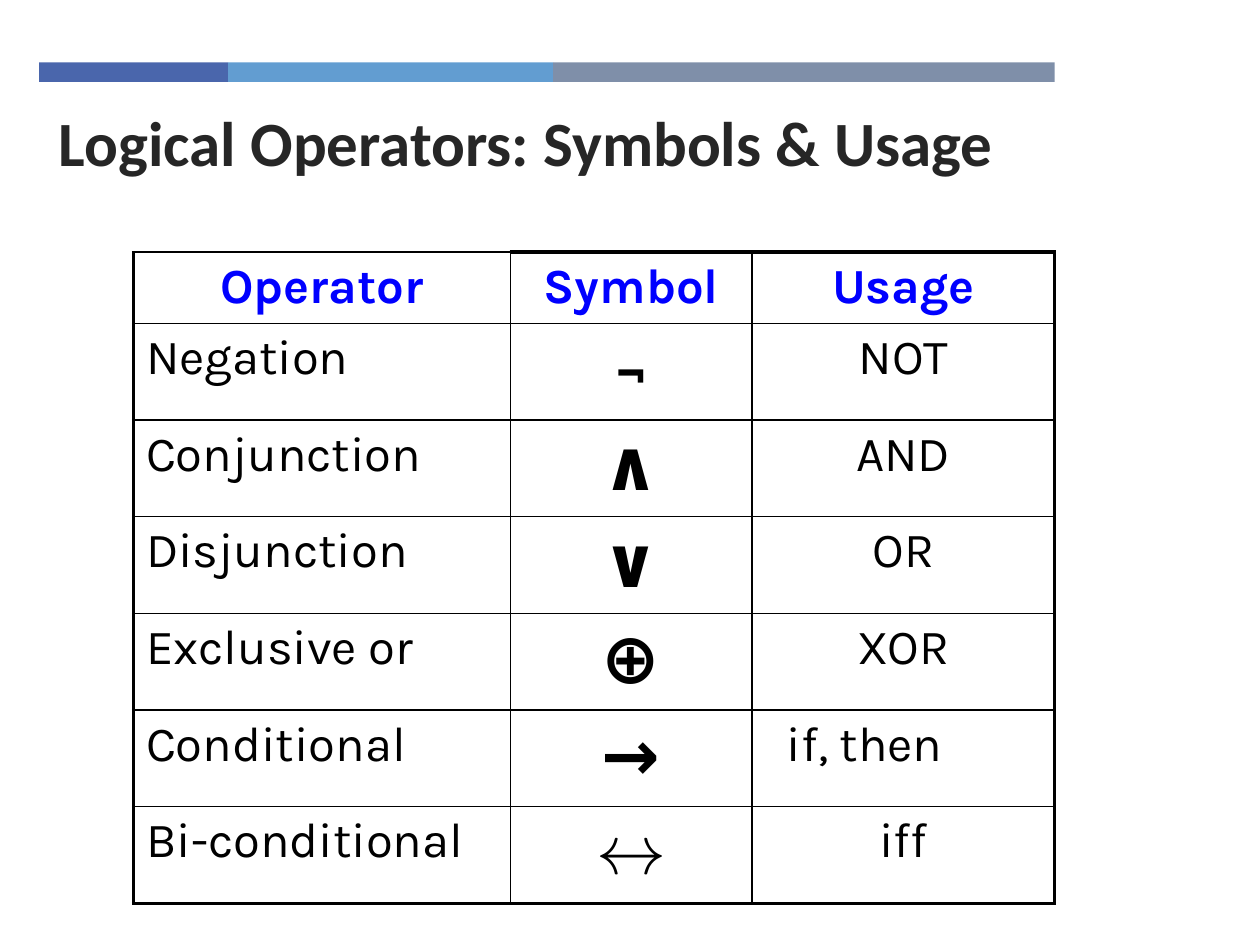
from pptx import Presentation
from pptx.dml.color import RGBColor
from pptx.enum.shapes import MSO_SHAPE
from pptx.enum.text import MSO_ANCHOR, PP_ALIGN
from pptx.oxml.ns import qn
from pptx.util import Cm, Pt
from lxml import etree

RECT = MSO_SHAPE.RECTANGLE
TOP = MSO_ANCHOR.TOP
LEFT, MID = PP_ALIGN.LEFT, PP_ALIGN.CENTER

NAVY = RGBColor(0x4A, 0x66, 0xAC)
SKY = RGBColor(0x62, 0x9D, 0xD1)
SLATE = RGBColor(0x7F, 0x8F, 0xA9)
DARK = RGBColor(0x26, 0x26, 0x26)
BLUE = RGBColor(0x00, 0x00, 0xFF)
BLACK = RGBColor(0x00, 0x00, 0x00)

THIN, THICK = Pt(1), Pt(2.25)
BANDS = [(3.81, NAVY), (6.55, SKY), (10.11, SLATE)]
COLS = [7.6, 4.87, 6.1]
HEAD = ["Operator", "Symbol", "Usage"]
ROWS = [
    ("Negation", "¬", "NOT"),
    ("Conjunction", "∧", "AND"),
    ("Disjunction", "∨", "OR"),
    ("Exclusive or", "⊕", "XOR"),
    ("Conditional", "→", "if, then"),
    ("Bi-conditional", "↔", "iff"),
]


def write(frame, text, font, size, color, bold=False, align=LEFT):
    """Put one styled run in the first paragraph of a frame."""
    para = frame.paragraphs[0]
    para.alignment = align
    run = para.add_run()
    run.text = text
    run.font.name = font
    run.font.size = Pt(size)
    run.font.bold = bold
    run.font.color.rgb = color


def add_bands(slide):
    """Draw the coloured bar as rectangles set end to end."""
    left = 0.79
    for width, color in BANDS:
        band = slide.shapes.add_shape(
            RECT, Cm(left), Cm(1.26), Cm(width), Cm(0.39))
        band.shadow.inherit = False
        band.fill.solid()
        band.fill.fore_color.rgb = color
        band.line.fill.background()
        left += width


def add_title(slide, text):
    """Add the slide heading."""
    box = slide.shapes.add_textbox(Cm(0.94), Cm(1.88), Cm(19.76), Cm(2.18))
    frame = box.text_frame
    frame.word_wrap = True
    frame.vertical_anchor = TOP
    frame.margin_top = Cm(0.2)
    write(frame, text, "Calibri", 36, DARK, bold=True)


def set_edges(cell, **edges):
    """Give a cell black borders; edges maps L, R, T, B to widths."""
    props = cell._tc.get_or_add_tcPr()
    for side, width in edges.items():
        line = etree.SubElement(props, qn("a:ln" + side), w=str(width))
        fill = etree.SubElement(line, qn("a:solidFill"))
        etree.SubElement(fill, qn("a:srgbClr"), val=str(BLACK))


def fill_cell(cell, text, row, col):
    """Write a cell in the style of its row and column."""
    if row == 0:
        write(cell.text_frame, text, "Karla", 28, BLUE, True, MID)
    elif col == 1:
        write(cell.text_frame, text, "Karla", 40, BLACK, True, MID)
    else:
        # The two-word usage is set left with an indent.
        loose = col == 2 and " " in text
        if loose:
            cell.margin_left = Cm(0.7)
        align = LEFT if col == 0 or loose else MID
        write(cell.text_frame, text, "Karla", 28, BLACK, align=align)


def add_grid(slide):
    """Add the operator table with its heavy outer frame."""
    data = [HEAD, *ROWS]
    last, end = len(data) - 1, len(COLS) - 1
    frame = slide.shapes.add_table(
        len(data), len(COLS), Cm(2.69), Cm(5.08), Cm(sum(COLS)), Cm(11.47))
    table = frame.table
    table.first_row = table.horz_banding = False
    for col, width in enumerate(COLS):
        table.columns[col].width = Cm(width)
    for row, texts in enumerate(data):
        table.rows[row].height = Cm(1.7 if row else 1.27)
        for col, text in enumerate(texts):
            cell = table.cell(row, col)
            set_edges(
                cell,
                L=THICK if col == 0 else THIN,
                R=THICK if col == end else THIN,
                T=THICK if row == 0 and col else THIN,
                B=THICK if row == last else THIN)
            cell.fill.background()
            fill_cell(cell, text, row, col)


def main():
    """Build the slide and save it."""
    deck = Presentation()
    deck.slide_width, deck.slide_height = Cm(25.4), Cm(19.05)
    slide = deck.slides.add_slide(deck.slide_layouts[6])
    add_bands(slide)
    add_title(slide, "Logical Operators: Symbols & Usage")
    add_grid(slide)
    deck.save("out.pptx")


main()
